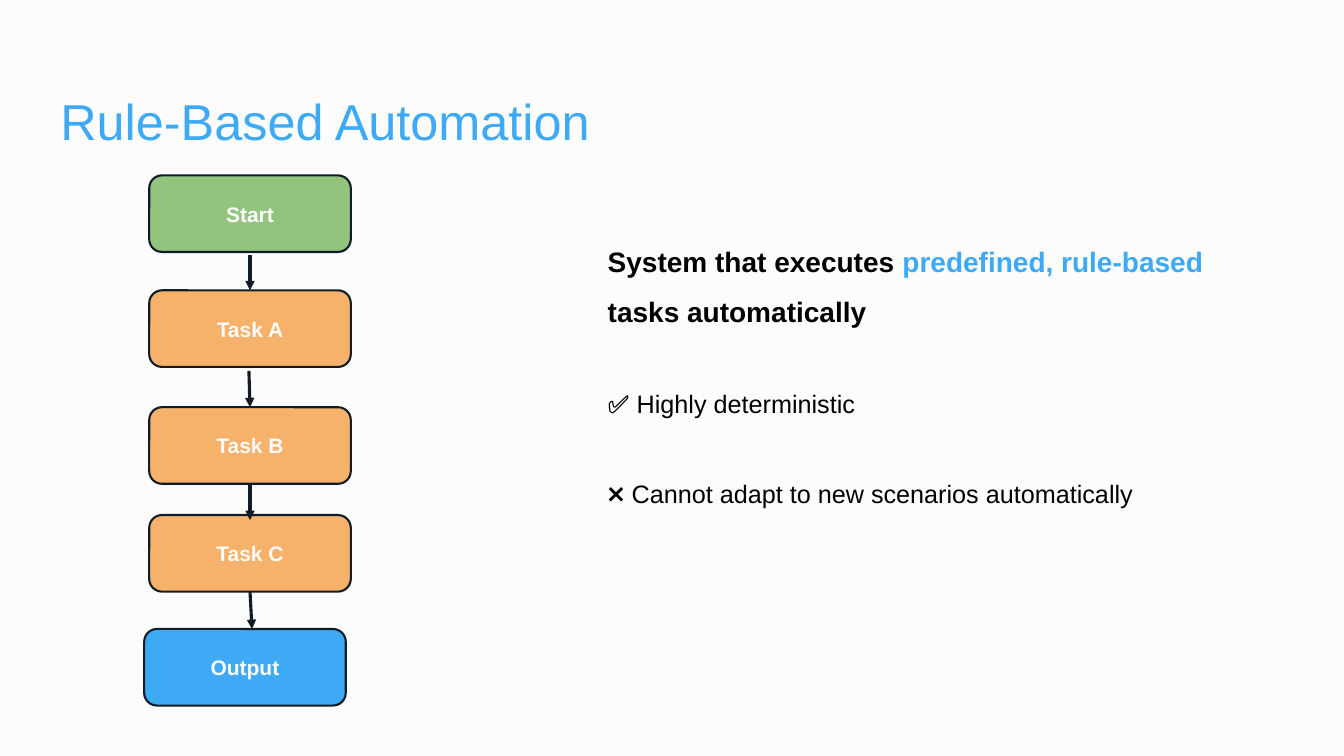
from pptx import Presentation
from pptx.dml.color import RGBColor
from pptx.enum.shapes import MSO_CONNECTOR, MSO_SHAPE
from pptx.enum.text import MSO_ANCHOR, PP_ALIGN
from pptx.oxml.ns import qn
from pptx.util import Pt
from lxml import etree

LINE = MSO_CONNECTOR.STRAIGHT
ROUND = MSO_SHAPE.ROUNDED_RECTANGLE
MIDDLE = MSO_ANCHOR.MIDDLE
CENTER = PP_ALIGN.CENTER
BOTTOM, TOP = 2, 0

PAPER = RGBColor(0xFC, 0xFC, 0xFC)
INK = RGBColor(0x12, 0x1C, 0x29)
BLACK = RGBColor(0, 0, 0)
BLUE = RGBColor(0x3E, 0xA9, 0xF5)
GREEN = RGBColor(0x93, 0xC4, 0x7D)
ORANGE = RGBColor(0xF6, 0xB2, 0x6B)

STEPS = [
    ("Start", GREEN, 3.6, 0),
    ("Task A", ORANGE, 3.6, 82.1),
    ("Task B", ORANGE, 3.6, 165.6),
    ("Task C", ORANGE, 3.6, 242.6),
    ("Output", BLUE, 0, 324),
]
ARROWS = [
    (75.6, 56.9, 77, 82.8),
    (74.8, 139.7, 75.6, 166.3),
    (74.8, 219.6, 75.6, 246.2),
    (75.6, 297.3, 77, 324),
]
JOINS = [(0, 1, TOP), (1, 2, TOP), (2, 2, BOTTOM), (3, 3, BOTTOM)]
POINTS = [
    (0, [("System that executes ", BLACK), ("predefined, rule-based", BLUE),
         (" tasks automatically", BLACK)], {"size": Pt(20), "bold": True}),
    (32, [("✅ Highly deterministic", BLACK)], {"size": Pt(18), "bold": False}),
    (32, [("❌ Cannot adapt to new scenarios automatically", BLACK)],
     {"size": Pt(18), "bold": False}),
]


def apply(target, form):
    for name, value in form.items():
        setattr(target, name, value)


def write(para, text, color, form):
    run = para.add_run()
    run.text = text
    apply(run.font, {"name": "Arial", **form})
    run.font.color.rgb = color


def add_title(slide, left, top, width, height):
    frame = slide.shapes.add_textbox(
        Pt(left), Pt(top), Pt(width), Pt(height)).text_frame
    apply(frame, {"word_wrap": True, "vertical_anchor": MIDDLE})
    para = frame.paragraphs[0]
    para.line_spacing = 0.9
    write(para, "Rule-Based Automation", BLUE, {"size": Pt(36)})


def add_points(slide, left, top, width, height):
    frame = slide.shapes.add_textbox(
        Pt(left), Pt(top), Pt(width), Pt(height)).text_frame
    frame.word_wrap = True
    for index, (gap, runs, form) in enumerate(POINTS):
        para = frame.add_paragraph() if index else frame.paragraphs[0]
        apply(para, {"line_spacing": 1.5, "space_before": Pt(gap)})
        for text, color in runs:
            write(para, text, color, form)


def add_step(slide, text, color, left, top, width, height):
    box = slide.shapes.add_shape(ROUND, Pt(left), Pt(top), Pt(width), Pt(height))
    box.shadow.inherit = False
    box.fill.solid()
    box.fill.fore_color.rgb = color
    box.line.color.rgb = INK
    box.line.width = Pt(1.5)
    frame = box.text_frame
    sides = ("left", "top", "right", "bottom")
    apply(frame, {f"margin_{side}": Pt(7.2) for side in sides})
    apply(frame, {"word_wrap": True, "vertical_anchor": MIDDLE})
    para = frame.paragraphs[0]
    para.alignment = CENTER
    write(para, text, PAPER, {"size": Pt(15), "bold": True})
    return box


def add_arrow(slide, *ends):
    arrow = slide.shapes.add_connector(LINE, *(Pt(end) for end in ends))
    arrow.line.color.rgb = INK
    arrow.line.width = Pt(2.25)
    etree.SubElement(arrow.line._get_or_add_ln(), qn("a:tailEnd"), type="triangle")
    etree.SubElement(arrow._element.spPr, qn("a:effectLst"))
    return arrow


def add_flow(slide, left, top, width, height):
    boxes = [add_step(slide, text, color, left + dx, top + dy, width, height)
             for text, color, dx, dy in STEPS]
    arrows = [add_arrow(slide, left + x1, top + y1, left + x2, top + y2)
              for x1, y1, x2, y2 in ARROWS]
    for arrow, box, side in JOINS:
        line = arrows[arrow]
        join = line.end_connect if side == TOP else line.begin_connect
        join(boxes[box], side)


def main():
    deck = Presentation()
    apply(deck, {"slide_width": Pt(960), "slide_height": Pt(540)})
    slide = deck.slides.add_slide(deck.slide_layouts[6])
    fill = slide.background.fill
    fill.solid()
    fill.fore_color.rgb = PAPER
    add_title(slide, 36, 52.6, 888, 72.7)
    add_points(slide, 427, 159.1, 463, 293)
    add_flow(slide, 103, 125.3, 144, 54.7)
    deck.save("out.pptx")


if __name__ == "__main__":
    main()
